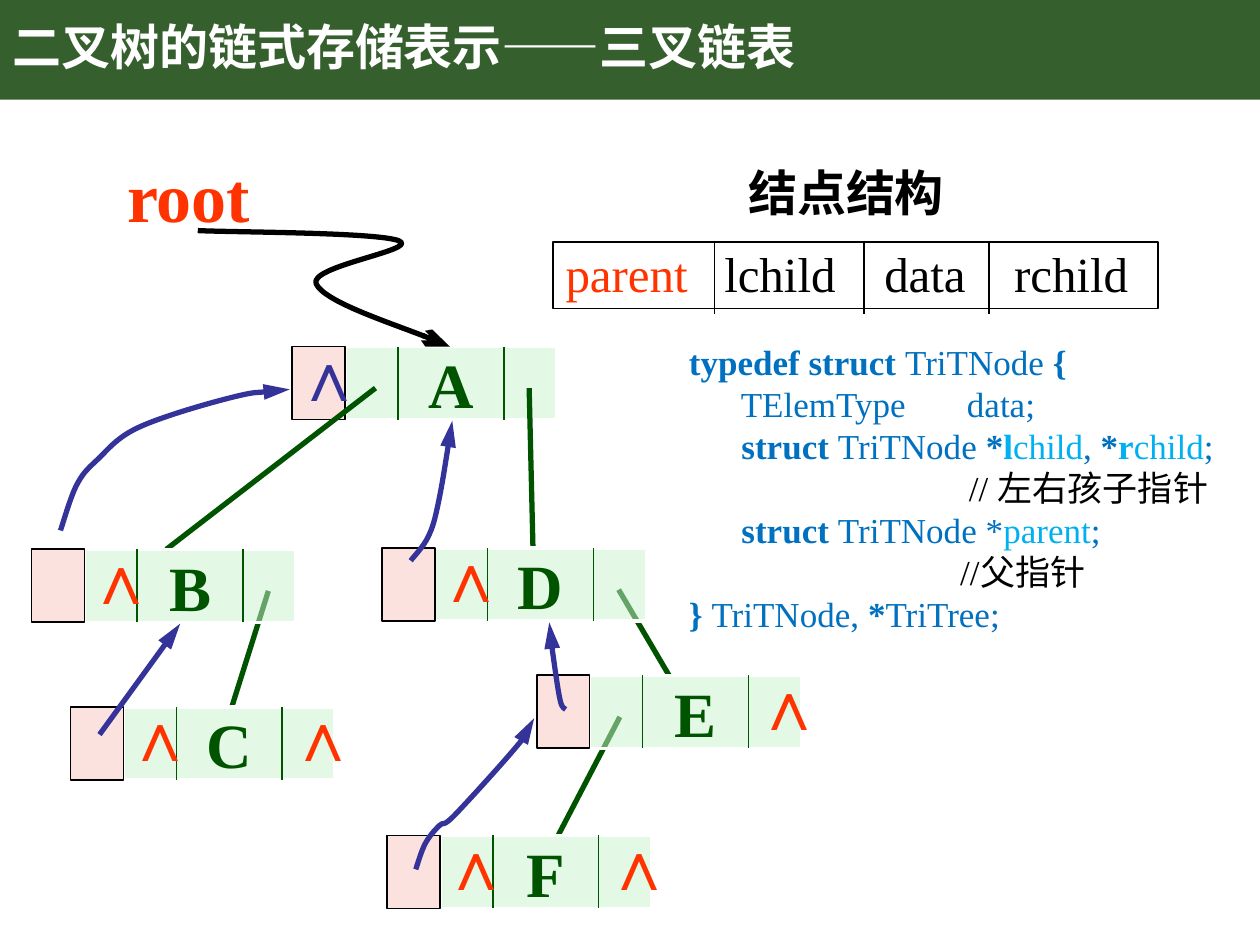
from itertools import accumulate

from lxml.etree import SubElement
from pptx import Presentation
from pptx.dml.color import RGBColor
from pptx.enum.shapes import MSO_CONNECTOR, MSO_SHAPE
from pptx.enum.text import MSO_ANCHOR, PP_ALIGN
from pptx.oxml.ns import qn
from pptx.util import Inches, Pt

FONT = "Times New Roman"
GREEN, BLUE, RED, BLACK = "005400", "333399", "FF3300", "000000"
PINK, MINT, WHITE, BAR = "FBE2DF", "CAF2CE", "FFFFFF", "365F2E"

CELL, HIGH = 0.42, 0.58
WIDE = 4 * CELL
PAD = 0.1
NULL = {"parent": -0.08, "left": 0.34, "right": 1.63}
SLOT = {"left": 0.66, "right": 1.88}
SIDE = (-0.02, 0.34)
FOOT = HIGH + 0.01

NODES = {
    "A": (2.32, 2.75, ["parent"]),
    "B": (0.25, 4.36, ["left"]),
    "D": (3.03, 4.35, ["left"]),
    "C": (0.56, 5.61, ["left", "right"]),
    "E": (4.26, 5.36, ["right"]),
    "F": (3.07, 6.63, ["left", "right"]),
}
EDGES = [
    ("A", "left", "B", 1.07),
    ("A", "right", "D", 1.2),
    ("B", "right", "C", 1.28),
    ("D", "right", "E", 1.05),
    ("E", "left", "F", 1.36),
]
BACK = [
    ("B", -0.15, "A", SIDE, [(0.07, 0.32), (0.16, 0.5), (0.34, 0.73), (0.74, 0.94)]),
    ("D", 0.1, "A", (1.27, FOOT), [(0.42, 0.17), (0.67, 0.42)]),
    ("C", 0.22, "B", (1.18, FOOT), []),
    ("E", 0.27, "D", (1.33, FOOT), [(0.33, 0.1), (0.75, 0.6)]),
    ("F", 0.27, "E", SIDE, [(0.08, 0.17), (0.2, 0.29), (0.33, 0.36), (0.87, 0.83)]),
]
ENTRY = ((1.57, 1.83), (3.57, 2.75), [(0.8, 0.09), (0.47, 0.46)])

FIELDS = [("parent", 1.28, 0.1), ("lchild", 1.19, 0.08),
          ("data", 0.99, 0.16), ("rchild", 1.34, 0.2)]

KEY, NAME = ("0070C0", True), ("0070C0", False)
HEAD, TAIL, NOTE = ("00B0F0", True), ("00B0F0", False), (BLACK, False)
CODE = [
    [("typedef struct ", *KEY), ("TriTNode ", *NAME), ("{", *KEY)],
    [("      TElemType       data;", *NAME)],
    [("      struct ", *KEY), ("TriTNode ", *NAME), ("*", *KEY), ("l", *HEAD),
     ("child", *TAIL), (", ", *NAME), ("*", *KEY), ("r", *HEAD), ("child", *TAIL),
     (";", *NAME)],
    [("                                // 左右孩子指针", *NOTE)],
    [("      struct ", *KEY), ("TriTNode *", *NAME), ("parent", *TAIL), (";", *NAME)],
    [("                               //父指针", *NOTE)],
    [("} ", *KEY), ("TriTNode, ", *NAME), ("*", *KEY), ("TriTree;", *NAME)],
]


def paint(fmt, color):
    fmt.solid()
    fmt.fore_color.rgb = RGBColor.from_string(color)


def write(frame, text, size, color=BLACK, bold=True, align=PP_ALIGN.LEFT,
          anchor=MSO_ANCHOR.TOP, wrap=False, space=None, tabs=()):
    frame.word_wrap = wrap
    frame.vertical_anchor = anchor
    rows = [[(text, color, bold)]] if isinstance(text, str) else text
    for i, row in enumerate(rows):
        para = frame.add_paragraph() if i else frame.paragraphs[0]
        para.alignment = align
        para.line_spacing = space
        if tabs:
            stops = SubElement(para._p.get_or_add_pPr(), qn("a:tabLst"))
            for pos in tabs:
                SubElement(stops, qn("a:tab"), pos=str(Inches(pos)), algn="l")
        for words, tint, heavy in row:
            run = para.add_run()
            run.text = words
            run.font.name, run.font.size, run.font.bold = FONT, Pt(size), heavy
            paint(run.font.fill, tint)


def label(home, x, y, w, h, text, size, **look):
    box = home.add_textbox(*map(Inches, (x, y, w, h)))
    write(box.text_frame, text, size, **look)


def block(home, x, y, w, h, fill=None, line=None, width=1):
    box = home.add_shape(MSO_SHAPE.RECTANGLE, *map(Inches, (x, y, w, h)))
    box.shadow.inherit = False
    box.line.width = Pt(width)
    for fmt, color in ((box.fill, fill), (box.line.fill, line)):
        if color:
            paint(fmt, color)
        else:
            fmt.background()
    return box


def stroke(shape, color, width, tip):
    paint(shape.line.fill, color)
    shape.line.width = Pt(width)
    if tip:
        SubElement(shape.line._get_or_add_ln(), qn("a:tailEnd"), type=tip, len="lg")


def rule(home, start, end, color, width, tip=None):
    line = home.add_connector(MSO_CONNECTOR.STRAIGHT, *map(Inches, start + end))
    stroke(line, color, width, tip)
    SubElement(line._element.spPr, qn("a:effectLst"))


def shift(point, dx, dy):
    return point[0] + dx, point[1] + dy


def handles(knots):
    full = [knots[0], *knots, knots[-1]]
    for a, b, c, d in zip(full, full[1:], full[2:], full[3:]):
        yield shift(b, (c[0] - a[0]) / 6, (c[1] - a[1]) / 6)
        yield shift(c, (b[0] - d[0]) / 6, (b[1] - d[1]) / 6)
        yield c


def curve(home, start, end, bends, color, tip):
    dx, dy = end[0] - start[0], end[1] - start[1]
    knots = [start, *(shift(start, u * dx, v * dy) for u, v in bends), end]
    pen = home.build_freeform(*map(Inches, start))
    pen.add_line_segments([tuple(map(Inches, p)) for p in handles(knots)], close=False)
    shape = pen.convert_to_shape()
    shape.shadow.inherit = False
    shape.fill.background()
    track = next(shape._element.iter(qn("a:path")))
    legs = track.findall(qn("a:lnTo"))
    for i in range(0, len(legs), 3):
        bend = SubElement(track, qn("a:cubicBezTo"))
        for leg in legs[i:i + 3]:
            bend.append(leg[0])
            track.remove(leg)
    stroke(shape, color, 3, tip)


def node(shapes, name):
    x, y, nulls = NODES[name]
    home = shapes.add_group_shape().shapes
    body = block(home, x + CELL, y, WIDE, HIGH, MINT, WHITE, 2)
    shade = next(body._element.spPr.iter(qn("a:srgbClr")))
    SubElement(shade, qn("a:alpha"), val="50000")
    write(body.text_frame, name, 36, color=GREEN, align=PP_ALIGN.CENTER,
          anchor=MSO_ANCHOR.MIDDLE)
    for side in (2 * CELL, 4 * CELL):
        rule(home, (x + side, y), (x + side, y + HIGH), GREEN, 1)
    block(home, x, y, CELL, HIGH, PINK, BLACK)
    for part in nulls:
        label(home, x + NULL[part], y - 0.17, 0.54, 0.77, "∧", 40,
              color=BLUE if part == "parent" else RED)


def tree(shapes):
    top, *rest = NODES
    node(shapes, top)
    for upper, slot, lower, land in EDGES:
        rule(shapes, shift(NODES[upper][:2], SLOT[slot], 0.33),
             shift(NODES[lower][:2], land, 0), GREEN, 3)
    curve(shapes, *ENTRY, BLACK, "arrow")
    label(shapes, 0.91, 1.16, 1.19, 0.77, "root", 40, color=RED)
    for name in rest:
        node(shapes, name)
    for lower, drop, upper, dock, bends in BACK:
        start = shift(NODES[lower][:2], 0.23, drop)
        end = shift(NODES[upper][:2], *dock)
        if bends:
            curve(shapes, start, end, bends, BLUE, "triangle")
        else:
            rule(shapes, start, end, BLUE, 3, "triangle")


def record(shapes, x, y):
    names, sizes, pads = zip(*FIELDS)
    *cuts, total = accumulate(sizes)
    tabs = [cut - PAD + pad for cut, pad in zip(cuts, pads[1:])]
    text = [[(names[0], RED, False), *(("\t" + n, BLACK, False) for n in names[1:])]]
    label(shapes, x, y - 0.04, total, 0.57, text, 28, tabs=tabs)
    block(shapes, x, y, total, 0.53, line=BLACK)
    for cut in cuts:
        rule(shapes, (x + cut, y - 0.01), (x + cut, y + 0.57), BLACK, 1)


def main():
    deck = Presentation()
    deck.slide_width, deck.slide_height = Inches(10), Inches(7.5)
    slide = deck.slides.add_slide(deck.slide_layouts[5])
    shapes, title = slide.shapes, slide.shapes.title
    bar = block(shapes, 0, 0, 10, 0.79, BAR)
    title._element.addprevious(bar._element)
    title.left, title.top, title.width, title.height = map(Inches, (0, 0, 8.62, 0.79))
    write(title.text_frame, "二叉树的链式存储表示——三叉链表", 28, color=WHITE,
          anchor=MSO_ANCHOR.MIDDLE, wrap=True, space=0.9)
    tree(shapes)
    label(shapes, 5.84, 1.24, 1.77, 0.57, "结点结构", 28)
    record(shapes, 4.39, 1.92)
    label(shapes, 5.37, 2.65, 4.46, 2.46, CODE, 20)
    deck.save("out.pptx")


if __name__ == "__main__":
    main()
